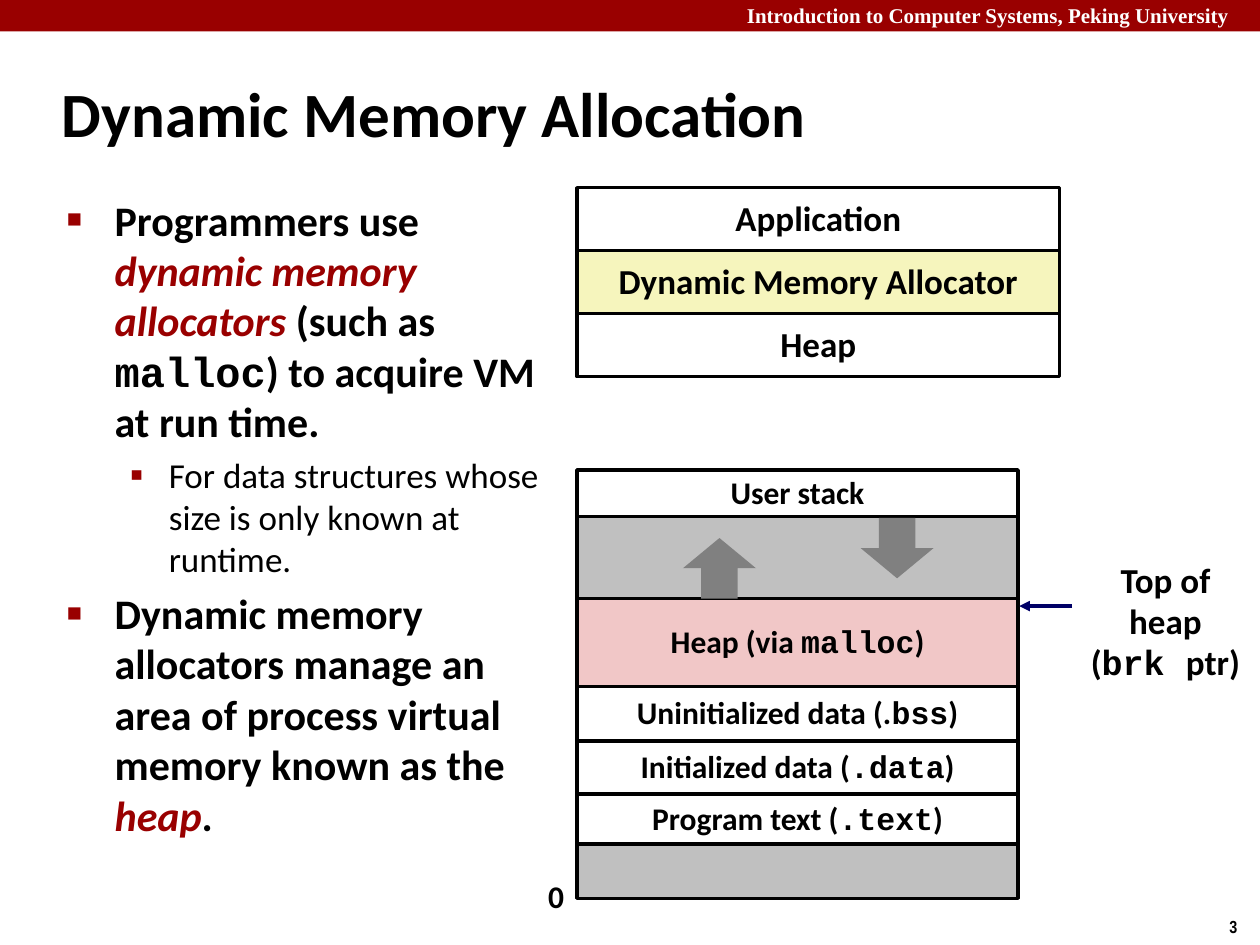
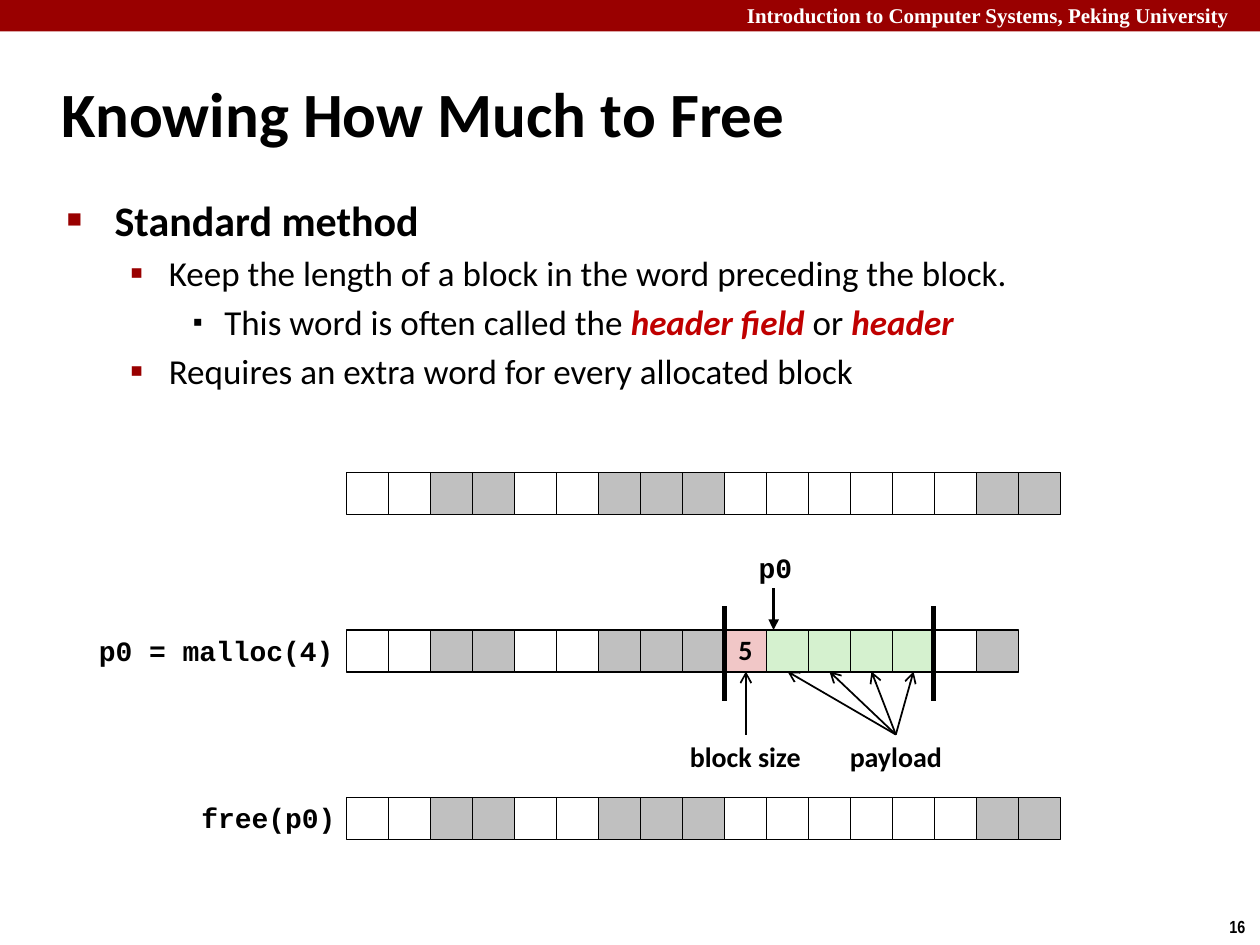
from itertools import pairwise

from lxml.etree import SubElement
from pptx import Presentation
from pptx.dml.color import RGBColor
from pptx.enum.shapes import MSO_CONNECTOR, MSO_SHAPE
from pptx.enum.text import MSO_ANCHOR, MSO_AUTO_SIZE, PP_ALIGN
from pptx.oxml.ns import qn
from pptx.util import Inches, Pt

BLACK = RGBColor(0x00, 0x00, 0x00)
WHITE = RGBColor(0xFF, 0xFF, 0xFF)
CRIMSON = RGBColor(0x99, 0x00, 0x00)
BRIGHT_RED = RGBColor(0xC0, 0x00, 0x00)
NAVY = RGBColor(0x00, 0x00, 0x66)
GREY = RGBColor(0xC0, 0xC0, 0xC0)
DARK_GREY = RGBColor(0x80, 0x80, 0x80)
PINK = RGBColor(0xF1, 0xC7, 0xC7)
YELLOW = RGBColor(0xF6, 0xF5, 0xBD)
GREEN = RGBColor(0xD5, 0xF1, 0xCF)

PLAIN = {}
CODE = {"name": "Courier New"}
TERM = {"italic": True, "color": CRIMSON}
HEADER_TERM = {"bold": True, "italic": True, "color": BRIGHT_RED}

# Per list level: text size, bold, left margin, hanging indent, bullet, bullet %, bullet colour
LEVELS = [
    (24, True, 0.38, 0.38, "■", 60, CRIMSON),
    (20, False, 0.81, 0.31, "▪", 110, CRIMSON),
    (20, False, 1.25, 0.25, "▪", 80, BLACK),
]


def write(paragraph, spans, size, font="Calibri", bold=True, color=BLACK):
    """Fill a paragraph from a string or from (text, style) pairs."""
    paragraph.font.size = Pt(size)
    paragraph.font.name = font
    paragraph.font.bold = bold
    paragraph.font.color.rgb = color
    for text, style in [(spans, PLAIN)] if isinstance(spans, str) else spans:
        span = paragraph.add_run()
        span.text = text
        for key in style.keys() - {"color"}:
            setattr(span.font, key, style[key])
        if "color" in style:
            span.font.color.rgb = style["color"]


def add_box(page, area, fill=None, outline=0, lines=(), size=18, font="Calibri",
            color=BLACK, align=PP_ALIGN.CENTER, shape=MSO_SHAPE.RECTANGLE):
    """Add a filled shape, or a text box when there is no fill."""
    area = [Inches(length) for length in area]
    if fill is None:
        box = page.shapes.add_textbox(*area)
    else:
        box = page.shapes.add_shape(shape, *area)
        box.shadow.inherit = False
        box.fill.solid()
        box.fill.fore_color.rgb = fill
        if outline:
            box.line.color.rgb = BLACK
            box.line.width = Pt(outline)
        else:
            box.line.fill.background()
    frame = box.text_frame
    frame.word_wrap = False
    frame.vertical_anchor = MSO_ANCHOR.MIDDLE if fill is not None else MSO_ANCHOR.TOP
    for number, spans in enumerate(lines):
        para = frame.add_paragraph() if number else frame.paragraphs[0]
        para.alignment = align
        para.line_spacing = 0.98
        write(para, spans, size, font, color=color)
    return box


deck = Presentation()
deck.slide_width = Inches(10)
deck.slide_height = Inches(7.5)
layout = deck.slide_layouts[1]

# Title, page number, body width and list of each slide
outlines = [
    ("Dynamic Memory Allocation", "3", 4.14, [
        (0, [("Programmers use ", PLAIN), ("dynamic memory allocators ", TERM),
             ("(such as ", PLAIN), ("malloc", CODE), (") to acquire VM at run time.", PLAIN)]),
        (1, "For data structures whose size is only known at runtime."),
        (0, [("Dynamic memory allocators manage an area of process virtual memory known as the ",
              PLAIN), ("heap", TERM), (".", PLAIN)]),
    ]),
    ("Knowing How Much to Free", "16", 8.64, [
        (0, "Standard method"),
        (1, "Keep the length of a block in the word preceding the block."),
        (2, [("This word is often called the ", PLAIN), ("header field ", HEADER_TERM),
             ("or ", PLAIN), ("header", HEADER_TERM)]),
        (1, "Requires an extra word for every allocated block"),
    ]),
]

pages = []
for title_text, page_number, body_width, items in outlines:
    page = deck.slides.add_slide(layout)
    pages.append(page)

    title = page.shapes.title
    title.left, title.top = Inches(0.39), Inches(0.48)
    title.width, title.height = Inches(8.3), Inches(0.83)
    title.text_frame.vertical_anchor = MSO_ANCHOR.MIDDLE
    title.text_frame.auto_size = MSO_AUTO_SIZE.NONE
    title.text_frame.paragraphs[0].alignment = PP_ALIGN.LEFT
    write(title.text_frame.paragraphs[0], title_text, 36)

    body = page.placeholders[1]
    body.left, body.top = Inches(0.43), Inches(1.49)
    body.width, body.height = Inches(body_width), Inches(5.44)
    body.text_frame.auto_size = MSO_AUTO_SIZE.NONE
    for number, (level, spans) in enumerate(items):
        size, bold, margin, hanging, bullet, percent, bullet_color = LEVELS[level]
        para = body.text_frame.add_paragraph() if number else body.text_frame.paragraphs[0]
        para.level = level
        para.space_before = Pt(0.2 * size if number else 0)
        properties = para._p.get_or_add_pPr()
        properties.set("marL", str(Inches(margin)))
        properties.set("indent", str(-Inches(hanging)))
        SubElement(SubElement(properties, qn("a:buClr")), qn("a:srgbClr"), val=str(bullet_color))
        SubElement(properties, qn("a:buSzPct"), val=str(percent * 1000))
        SubElement(properties, qn("a:buChar"), char=bullet)
        write(para, spans, size, bold=bold)

    add_box(page, (9.66, 7.23, 0.34, 0.27), lines=[page_number], size=10,
            font="Arial Narrow", align=PP_ALIGN.LEFT)

allocation, freeing = pages

# The band and course name move to the layout, so both slides share them
band = add_box(allocation, (0, 0, 10, 0.25), CRIMSON)
course = add_box(allocation, (5.83, 0, 4.17, 0.25), lines=[
    "Introduction to Computer Systems, Peking University"], size=12,
    font="Times New Roman", color=WHITE, align=PP_ALIGN.LEFT)
course.text_frame.vertical_anchor = MSO_ANCHOR.MIDDLE
for shared in (band, course):
    layout.shapes.element.append(shared.element)

# Slide 1: software layers
layers = [("Application", WHITE), ("Dynamic Memory Allocator", YELLOW), ("Heap", WHITE)]
for row, (name, fill) in enumerate(layers):
    add_box(allocation, (4.58, 1.49 + 0.5 * row, 3.83, 0.5), fill, 2, [name], size=20)

# Slide 1: process memory, from the stack down to address 0
regions = [
    (WHITE, ["User stack"]),
    (GREY, []),
    (PINK, [[("Heap (via ", PLAIN), ("malloc", CODE), (")", PLAIN)]]),
    (WHITE, [[("Uninitialized data (.", PLAIN), ("bss", CODE), (")", PLAIN)]]),
    (WHITE, [[("Initialized data (", PLAIN), (".data", CODE), (")", PLAIN)]]),
    (WHITE, [[("Program text (", PLAIN), (".text", CODE), (")", PLAIN)]]),
    (GREY, []),
]
borders = [3.73, 4.1, 4.75, 5.45, 5.88, 6.3, 6.7, 7.13]
for (top, bottom), (fill, lines) in zip(pairwise(borders), regions):
    add_box(allocation, (4.58, top, 3.5, bottom - top), fill, 2, lines)
add_box(allocation, (6.83, 4.11, 0.58, 0.48), DARK_GREY, shape=MSO_SHAPE.DOWN_ARROW)
add_box(allocation, (5.42, 4.27, 0.58, 0.48), DARK_GREY, shape=MSO_SHAPE.UP_ARROW)
add_box(allocation, (4.25, 6.93, 0.33, 0.4), lines=["0"])
add_box(allocation, (8.5, 4.4, 1.5, 0.76), size=20, lines=[
    "Top of heap", [("(", PLAIN), ("brk ", CODE), ("ptr)", PLAIN)]])

# Slide 2: rows of memory words
WORD = 1 / 3
ROW_LEFT = 2.75
word_fills = {".": WHITE, "#": GREY, "h": PINK, "p": GREEN}
word_rows = [
    (3.75, "..##..###......##"),
    (5, "..##..###hpppp.#"),
    (6.33, "..##..###......##"),
]
for top, words in word_rows:
    for column, word in enumerate(words):
        add_box(freeing, (ROW_LEFT + column * WORD, top, WORD, WORD), word_fills[word], 1,
                ["5"] if word == "h" else [], size=16)

labels = [
    ("p0 = malloc(4)", "Courier New", 0.67, 4.99, 2.09),
    ("p0", "Courier New", 5.92, 4.33, 0.47),
    ("free(p0)", "Courier New", 1.49, 6.32, 1.28),
    ("block size", "Calibri", 5.37, 5.83, 1.09),
    ("payload", "Calibri", 6.64, 5.83, 0.94),
]
for text, font, left, top, width in labels:
    add_box(freeing, (left, top, width, 0.36), lines=[text], size=16, font=font)

# Lines of both slides: page, start, end, colour, width, arrowhead
strokes = [
    (allocation, (8.51, 4.81), (8.09, 4.81), NAVY, 2, "triangle"),
    (freeing, (6.14, 4.67), (6.14, 5), BLACK, 2, "triangle"),
    (freeing, (5.92, 5.83), (5.92, 5.33), BLACK, 1, "arrow"),
]
for block_edge in (5.75, 7.41):
    strokes.append((freeing, (block_edge, 4.81), (block_edge, 5.56), BLACK, 3, None))
for column in range(4):
    strokes.append((freeing, (7.11, 5.83), (6.25 + column * WORD, 5.33), BLACK, 1, "arrow"))

for page, start, end, color, width, arrowhead in strokes:
    ends = [Inches(length) for length in start + end]
    stroke = page.shapes.add_connector(MSO_CONNECTOR.STRAIGHT, *ends)
    stroke.line.color.rgb = color
    stroke.line.width = Pt(width)
    properties = stroke.element.spPr
    if arrowhead:
        SubElement(properties.find(qn("a:ln")), qn("a:tailEnd"), type=arrowhead)
    SubElement(properties, qn("a:effectLst"))

deck.save("out.pptx")
